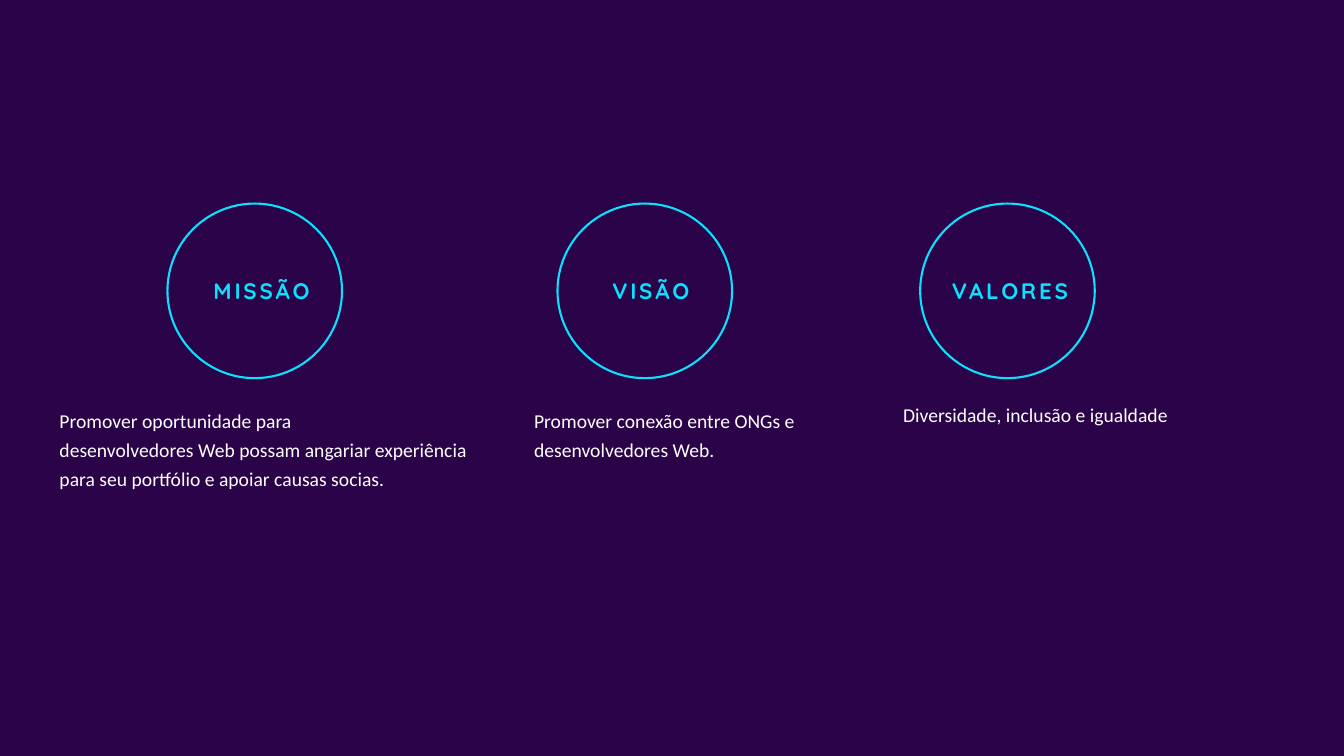
from dataclasses import dataclass

from pptx import Presentation
from pptx.dml.color import RGBColor as Rgb
from pptx.enum.shapes import MSO_SHAPE as Shape
from pptx.enum.text import MSO_ANCHOR as Anchor, MSO_AUTO_SIZE as AutoSize, PP_ALIGN as Align
from pptx.util import Cm, Pt


@dataclass(frozen=True)
class Theme:
    background: Rgb = Rgb.from_string("2B0348")
    accent: Rgb = Rgb.from_string("0BE1FF")
    body: Rgb = Rgb.from_string("FFFFFF")
    label_font: str = "Quicksand"
    body_font: str = "Calibri"
    label_size: Pt = Pt(16)
    body_size: Pt = Pt(14)
    ring_width: Pt = Pt(1.5)
    label_tracking: int = 200


THEME = Theme()
RING_TOP, RING_SIZE = Cm(5.13), Cm(4.4)
LABEL_TOP, LABEL_HEIGHT = Cm(5.87), Cm(2.92)
STATEMENT_TOP = Cm(10.02)
HARD_SPACE = chr(160)


def keep_together(text):
    return text.replace(" ", HARD_SPACE)


def apply_format(target, values):
    for name, value in values.items():
        setattr(target, name, value)


def add_ring(slide, left):
    ring = slide.shapes.add_shape(Shape.OVAL, left, RING_TOP, RING_SIZE, RING_SIZE)
    ring.shadow.inherit = False
    ring.fill.background()
    ring.line.color.rgb = THEME.accent
    ring.line.width = THEME.ring_width


def add_text(slide, box, text, frame_format, paragraph_format, font_format, color):
    frame = slide.shapes.add_textbox(*box).text_frame
    apply_format(frame, {"word_wrap": True, **frame_format})
    paragraph = frame.paragraphs[0]
    apply_format(paragraph, paragraph_format)
    run = paragraph.add_run()
    run.text = text
    apply_format(run.font, font_format)
    run.font.color.rgb = color
    return run


def add_label(slide, left, width, text):
    run = add_text(
        slide, (left, LABEL_TOP, width, LABEL_HEIGHT), text,
        {"vertical_anchor": Anchor.MIDDLE},
        {"alignment": Align.CENTER},
        {"name": THEME.label_font, "size": THEME.label_size, "bold": True},
        THEME.accent,
    )
    run._r.get_or_add_rPr().set("spc", str(THEME.label_tracking))


def add_statement(slide, left, width, height, text, line_spacing, auto_size):
    add_text(
        slide, (left, STATEMENT_TOP, width, height), text,
        {"auto_size": auto_size},
        {"line_spacing": line_spacing},
        {"name": THEME.body_font, "size": THEME.body_size},
        THEME.body,
    )


def main():
    deck = Presentation()
    deck.slide_width, deck.slide_height = Cm(33.87), Cm(19.05)
    slide = deck.slides.add_slide(deck.slide_layouts[6])
    slide.background.fill.solid()
    slide.background.fill.fore_color.rgb = THEME.background

    for left in (4.22, 14.05, 23.19):
        add_ring(slide, Cm(left))

    for left, width, label in (
        (4.22, 4.75, "MISSÃO"),
        (14.03, 4.75, "VISÃO"),
        (23.18, 4.55, "VALORES"),
    ):
        add_label(slide, Cm(left), Cm(width), label)

    mission = " ".join((
        keep_together("Promover oportunidade para"),
        keep_together("desenvolvedores Web possam angariar experiência "
                      "para seu portfólio e apoiar causas socias."),
    ))
    vision = " ".join((
        keep_together("Promover conexão entre"), "ONGs e",
        keep_together("desenvolvedores Web."),
    ))
    for left, width, height, statement, spacing, fit in (
        (1.25, 10.9, 3.2, mission, 1.25, AutoSize.NONE),
        (13.21, 8.41, 3.2, vision, 1.25, AutoSize.NONE),
        (22.51, 7.62, 0.86, "Diversidade, inclusão e igualdade", 1.0,
         AutoSize.SHAPE_TO_FIT_TEXT),
    ):
        add_statement(slide, Cm(left), Cm(width), Cm(height), statement, spacing, fit)

    deck.save("out.pptx")


if __name__ == "__main__":
    main()
